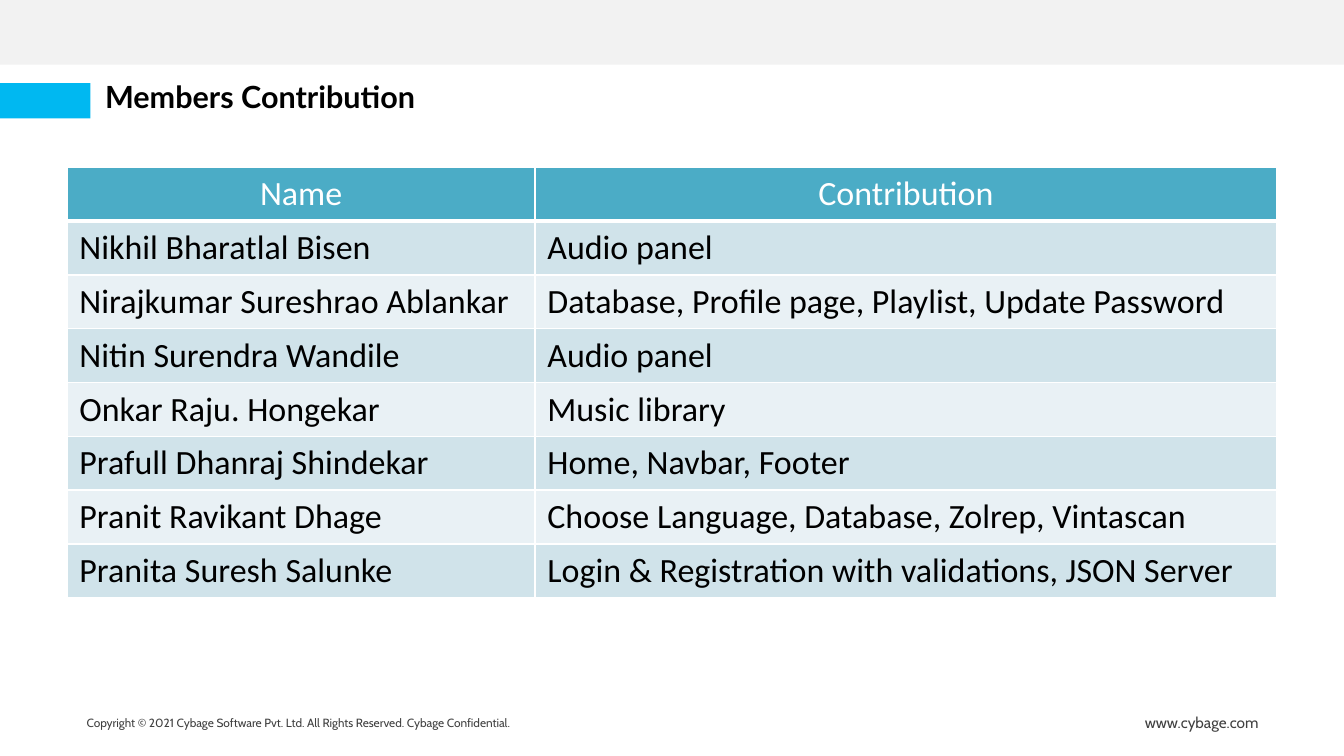
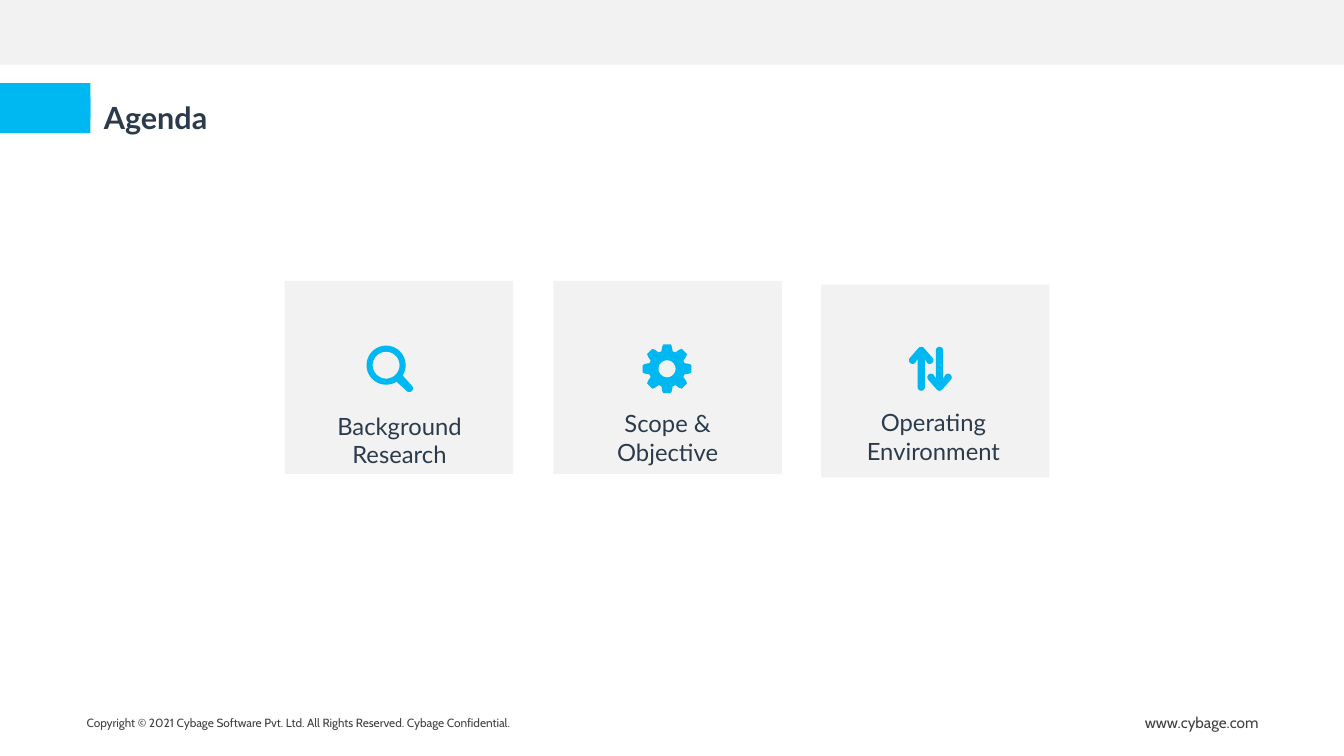
from math import cos, radians, sin

from lxml import etree
from pptx import Presentation
from pptx.dml.color import RGBColor
from pptx.enum.shapes import MSO_SHAPE
from pptx.enum.text import MSO_ANCHOR, MSO_AUTO_SIZE, PP_ALIGN
from pptx.oxml.ns import qn
from pptx.util import Pt

PX = 9144
RECT = MSO_SHAPE.RECTANGLE
TOP = MSO_ANCHOR.TOP
FIXED, GROW = MSO_AUTO_SIZE.NONE, MSO_AUTO_SIZE.SHAPE_TO_FIT_TEXT
LEFT, MID = PP_ALIGN.LEFT, PP_ALIGN.CENTER

WHITE, BLACK, NAVY = "FFFFFF", "000000", "2B3B4B"
GREY, BLUE, TEAL = "F2F2F2", "00B8F1", "4BACC6"
BANDS = ["D0E3EA", "E9F1F5"]

HEAD = {"name": "Lato", "size": Pt(18), "bold": True}
LABEL = {"name": "Lato", "size": Pt(14), "hue": NAVY}
LEGAL = {"name": "Cabin", "size": Pt(7), "hue": "404040"}
SITE = {**LEGAL, "size": Pt(9)}
CELL = {"name": "Calibri", "size": Pt(20), "bold": False}

ROWS = [
    ("Name", "Contribution"),
    ("Nikhil Bharatlal Bisen", "Audio panel"),
    ("Nirajkumar Sureshrao Ablankar",
     "Database, Profile page, Playlist, Update Password"),
    ("Nitin Surendra Wandile", "Audio panel"),
    ("Onkar Raju. Hongekar", "Music library"),
    ("Prafull Dhanraj Shindekar", "Home, Navbar, Footer"),
    ("Pranit Ravikant Dhage", "Choose Language, Database, Zolrep, Vintascan"),
    ("Pranita Suresh Salunke",
     "Login & Registration with validations, JSON Server"),
]
CARDS = [
    ((233, 230), "Background Research", (252, 332, 150, 40)),
    ((453, 230), "Scope & Objective", (458, 330, 177, 40)),
    ((672, 233), "Operating Environment", (672, 329, 184, 40)),
]


def emu(*nums):
    return [round(n * PX) for n in nums]


def color(code):
    return RGBColor.from_string(code)


def paint(shape, hue):
    shape.fill.solid()
    shape.fill.fore_color.rgb = color(hue)
    shape.line.fill.background()
    shape.shadow.inherit = False
    return shape


def block(slide, box, hue):
    return paint(slide.shapes.add_shape(RECT, *emu(*box)), hue)


def write(frame, text, form, align=LEFT):
    frame.text = text
    para = frame.paragraphs[0]
    para.alignment = align
    for key, val in form.items():
        if key == "hue":
            para.font.color.rgb = color(val)
        else:
            setattr(para.font, key, val)


def set_text(shape, text, form, align=LEFT, inset=11, fit=FIXED):
    frame = shape.text_frame
    write(frame, text, form, align)
    side, edge = emu(11, 5)
    opts = {"word_wrap": True, "auto_size": fit, "vertical_anchor": TOP,
            "margin_left": inset * PX, "margin_right": side,
            "margin_top": edge, "margin_bottom": edge}
    for key, val in opts.items():
        setattr(frame, key, val)
    return shape


def add_text(slide, box, *args, **opts):
    return set_text(slide.shapes.add_textbox(*emu(*box)), *args, **opts)


def set_title(slide, box, text, hue):
    title = slide.shapes.title
    title.left, title.top, title.width, title.height = emu(*box)
    set_text(title, text, {**HEAD, "hue": hue})


def set_frame(slide, layout):
    parts = [
        block(slide, (0, 0, 1100, 53), GREY),
        add_text(slide, (58, 581, 550, 22),
                 "Copyright © 2021 Cybage Software Pvt. Ltd. "
                 "All Rights Reserved. Cybage Confidential.",
                 LEGAL, inset=13),
        add_text(slide, (926, 579, 130, 26), "www.cybage.com", SITE, fit=GROW),
        block(slide, (0, 68, 74, 29), BLUE),
    ]
    for num, part in enumerate(parts, 20):
        part.element.xpath(".//p:cNvPr")[0].set("id", str(num))
        layout.shapes.element.append(part.element)


def edge_cell(cell, base):
    props = cell._tc.get_or_add_tcPr()
    for side, width in zip("LRTB", (1, 1, 1, base)):
        line = etree.SubElement(props, qn(f"a:ln{side}"), w=str(Pt(width)))
        fill = etree.SubElement(line, qn("a:solidFill"))
        etree.SubElement(fill, qn("a:srgbClr"), val=WHITE)


def add_grid(slide, box, rows, widths):
    grid = slide.shapes.add_table(len(rows), len(widths), *emu(*box)).table
    grid.first_row = grid.horz_banding = False
    for col, width in zip(grid.columns, widths):
        col.width = width * PX
    for r, row in enumerate(rows):
        top = r == 0
        for c, text in enumerate(row):
            cell = grid.cell(r, c)
            edge_cell(cell, 3 if top else 1)
            cell.fill.solid()
            cell.fill.fore_color.rgb = color(TEAL if top else BANDS[(r - 1) % 2])
            write(cell.text_frame, text,
                  {**CELL, "hue": WHITE if top else BLACK}, MID if top else LEFT)


def arc(x, y, size, start, end, steps=12):
    turns = [radians(start + (end - start) * i / steps) for i in range(steps + 1)]
    return [(x + size * cos(t), y + size * sin(t)) for t in turns]


def add_icon(slide, *rings):
    rings = [[emu(*spot) for spot in ring] for ring in rings]
    pen = slide.shapes.build_freeform(*rings[0][0])
    pen.add_line_segments(rings[0][1:])
    for ring in rings[1:]:
        pen.move_to(*ring[0])
        pen.add_line_segments(ring[1:])
    paint(pen.convert_to_shape(), BLUE)


def add_lens(slide, x, y):
    rim = arc(x, y, 16, 58, 392, 40) + arc(x + 19, y + 19, 3, -45, 135)
    add_icon(slide, rim, arc(x, y, 11, 0, 360, 40))


def add_gear(slide, x, y):
    rim = []
    for deg in range(0, 360, 45):
        c, s = cos(radians(deg)), sin(radians(deg))
        for dx, dy in [(18, -4), (20, -3), (20, 3), (18, 4)]:
            rim.append((x + dx * c - dy * s, y + dx * s + dy * c))
        rim += arc(x, y, 15, deg + 18, deg + 27, 2)
    add_icon(slide, rim + rim[:1], arc(x, y, 7, 0, 360, 40))


def add_arrows(slide, x, y):
    rise = (arc(x, y + 30, 3, 0, 180) + [(x - 3, y + 7)]
            + arc(x - 7, y + 8, 3, 45, 225) + arc(x, y, 3, 225, 315)
            + arc(x + 7, y + 8, 3, -45, 135) + [(x + 3, y + 7), (x + 3, y + 30)])
    fall = [(2 * x + 15 - a, 2 * y + 30 - b) for a, b in rise]
    add_icon(slide, fall)
    add_icon(slide, rise)


def add_team(slide):
    set_title(slide, (75, 59, 990, 54), "Members Contribution", BLACK)
    add_grid(slide, (55, 137, 990, 328), ROWS, (383, 607))


def add_plan(slide):
    block(slide, (0, 80, 74, 29), BLUE)
    set_title(slide, (74, 76, 383, 48), "Agenda", NAVY)
    for spot, text, box in CARDS:
        block(slide, (*spot, 187, 158), GREY)
        add_text(slide, box, text, LABEL, MID)
    add_lens(slide, 316, 299)
    add_gear(slide, 546, 302)
    add_arrows(slide, 754, 287)


def main():
    deck = Presentation()
    deck.slide_width, deck.slide_height = emu(1100, 619)
    layout = deck.slide_layouts[5]
    team, plan = [deck.slides.add_slide(layout) for _ in range(2)]
    set_frame(team, layout)
    add_team(team)
    add_plan(plan)
    deck.save("out.pptx")


if __name__ == "__main__":
    main()
